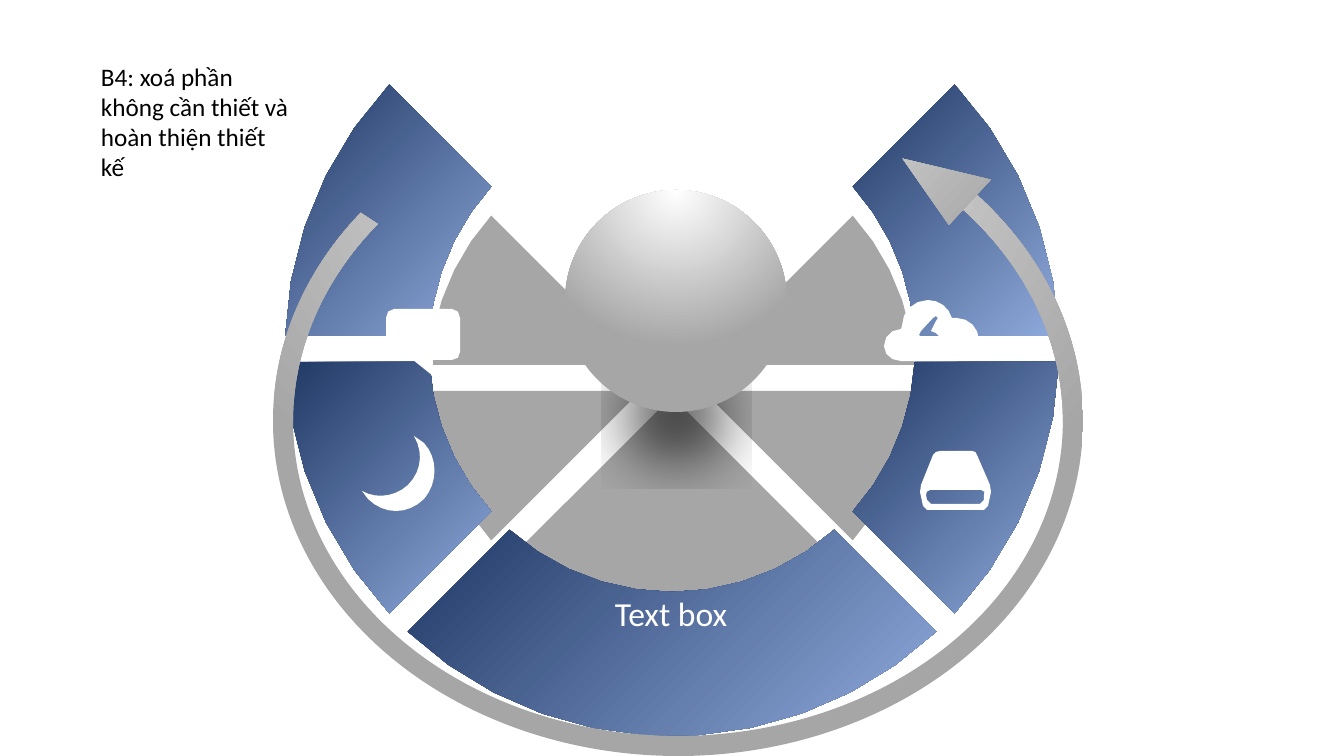
from math import asin, cos, radians, sin

from lxml.etree import SubElement
from pptx import Presentation
from pptx.dml.color import RGBColor
from pptx.enum.shapes import MSO_SHAPE as Preset
from pptx.enum.text import MSO_AUTO_SIZE as AutoSize
from pptx.oxml import parse_xml
from pptx.oxml.ns import nsdecls, qn
from pptx.util import Pt

EMU_PER_PX = 914400 / 100.8
FONT = "Calibri"
GREY, WHITE, BLACK = "A6A6A6", "FFFFFF", "000000"
NAVY, SKY = "203864", "8FAADC"

SECTORS = [(180, 225), (315, 360), (135, 180), (0, 45), (45, 135)]
CENTER_X, RING_Y, PIE_Y = 672, 349, 378
INNER_RADIUS, OUTER_RADIUS, HALF_GAP = 243, 387, 13

# Contours hold points (x, y) and cubic curves (x1, y1, x2, y2, x, y).
MOON = [[
    (408, 485), (395, 497, 376, 499, 362, 491), (368, 499),
    (384, 515, 408, 515, 424, 499), (438, 483, 438, 458, 424, 443),
    (414, 436), (424, 453, 421, 472, 408, 485)]]
BUBBLE = [[
    (452, 309), (394, 309), (389, 309, 386, 313, 386, 318), (386, 352),
    (386, 357, 389, 360, 394, 360), (413, 360), (433, 376), (433, 360),
    (452, 360), (457, 360, 460, 357, 460, 352), (460, 318),
    (460, 313, 457, 309, 452, 309)]]
CLOUD = [
    [(957, 318), (952, 318), (949, 307, 939, 300, 928, 300),
     (914, 300, 902, 311, 902, 326), (901, 329),
     (892, 329, 884, 336, 884, 346), (884, 355, 892, 361, 901, 361),
     (957, 361), (969, 361, 979, 353, 979, 340),
     (979, 328, 969, 318, 957, 318)],
    [(938, 338), (924, 353), (921, 353), (921, 350), (926, 340), (923, 338),
     (919, 335), (921, 331), (933, 318), (936, 316), (938, 318), (936, 321),
     (931, 331), (936, 333), (939, 336)]]
DRIVE = [
    [(990, 485), (977, 455), (977, 452, 974, 451, 972, 451), (940, 451),
     (937, 451, 935, 452, 933, 455), (921, 485), (920, 492), (923, 506),
     (923, 509, 926, 510, 927, 510), (984, 510),
     (986, 510, 988, 509, 988, 506), (991, 492)],
    [(984, 495), (984, 500), (984, 503, 981, 504, 980, 504), (931, 504),
     (930, 504, 927, 503, 927, 500), (926, 495),
     (926, 493, 927, 490, 930, 490), (981, 490),
     (984, 490, 986, 493, 984, 495)]]


def px(*lengths):
    """Turn pixel lengths into a tuple of EMU."""
    return tuple(round(length * EMU_PER_PX) for length in lengths)


def color(hex_code):
    """Turn a hex string into a colour."""
    return RGBColor.from_string(hex_code)


def clear_style(shape):
    """Take away the outline and the default shadow."""
    shape.line.fill.background()
    shape.shadow.inherit = False


def fill_solid(shape, hex_code):
    """Fill a shape with one colour."""
    shape.fill.solid()
    shape.fill.fore_color.rgb = color(hex_code)


def fill_linear(shape, start, end, angle):
    """Fill a shape with a two-colour gradient, angle counter-clockwise."""
    shape.fill.gradient()
    shape.fill.gradient_angle = angle
    for stop, hex_code in zip(shape.fill.gradient_stops, (start, end)):
        stop.color.rgb = color(hex_code)


def fill_glow(shape, stops):
    """Fill a shape with a circular gradient lit from above its top edge."""
    shape.fill.gradient()
    stop_xml = "".join(
        f'<a:gs pos="{percent * 1000}"><a:srgbClr val="{hex_code}"/></a:gs>'
        for percent, hex_code in stops)
    glow = parse_xml(
        f'<a:gradFill {nsdecls("a")} rotWithShape="1"><a:gsLst>{stop_xml}</a:gsLst>'
        '<a:path path="circle"><a:fillToRect l="50000" t="-80000" r="50000"'
        ' b="180000"/></a:path></a:gradFill>')
    properties = shape._element.spPr
    properties.replace(properties.find(qn("a:gradFill")), glow)


def add_drop_shadow(shape, blur, distance, scale, opacity):
    """Cast a scaled black shadow straight down from the bottom edge."""
    effects = shape._element.spPr.find(qn("a:effectLst"))
    shadow = SubElement(
        effects, qn("a:outerShdw"), blurRad=str(Pt(blur)), dist=str(Pt(distance)),
        dir="5400000", sx=str(scale * 1000), sy=str(scale * 1000),
        algn="b", rotWithShape="0")
    black = SubElement(shadow, qn("a:srgbClr"), val=BLACK)
    SubElement(black, qn("a:alpha"), val=str(opacity * 1000))


def flatten(contour):
    """Turn curves into straight runs, more of them for longer curves."""
    points = []
    for *controls, x, y in contour:
        if not controls:
            points.append((x, y))
            continue
        x0, y0 = points[-1]
        x1, y1, x2, y2 = controls
        steps = 1 + round(max(abs(x - x0), abs(y - y0)) / 8)
        for step in range(1, steps + 1):
            t = step / steps
            weights = ((1 - t) ** 3, 3 * t * (1 - t) ** 2, 3 * t * t * (1 - t), t ** 3)
            points.append(tuple(
                sum(w * value for w, value in zip(weights, values))
                for values in ((x0, x1, x2, x), (y0, y1, y2, y))))
    return points


def add_outline(shapes, contours):
    """Draw closed contours as one freeform and return it."""
    builder = None
    for contour in contours:
        start, *rest = [px(*point) for point in flatten(contour)]
        if builder is None:
            builder = shapes.build_freeform(*start, scale=1.0)
        else:
            builder.move_to(*start)
        builder.add_line_segments(rest, close=True)
    outline = builder.convert_to_shape()
    clear_style(outline)
    return outline


def sector(center_y, inner, outer, start, end):
    """Return a ring sector's contour, set back evenly from both rays."""
    half = radians(end - start) / 2
    middle = radians(start) + half
    apex = HALF_GAP / sin(half)

    def arc(radius):
        reach = half - asin(HALF_GAP / radius)
        steps = max(1, round(reach * 14))
        angles = [middle + reach * (2 * i / steps - 1) for i in range(steps + 1)]
        return [(CENTER_X + radius * cos(a), center_y + radius * sin(a)) for a in angles]

    tip = [(CENTER_X + apex * cos(middle), center_y + apex * sin(middle))]
    return arc(outer) + (arc(inner)[::-1] if inner > apex else tip)


def add_preset(slide, preset, box, adjustments=()):
    """Add a plain preset shape with the given adjustments."""
    shape = slide.shapes.add_shape(preset, *px(*box))
    clear_style(shape)
    for index, value in enumerate(adjustments):
        shape.adjustments[index] = value
    return shape


def add_label(slide, box, text, size, hex_code, wrap):
    """Add a text box with one run."""
    frame = slide.shapes.add_textbox(*px(*box)).text_frame
    frame.word_wrap = wrap
    frame.auto_size = AutoSize.SHAPE_TO_FIT_TEXT
    run = frame.paragraphs[0].add_run()
    run.text = text
    run.font.name, run.font.size = FONT, Pt(size)
    run.font.color.rgb = color(hex_code)


def main():
    """Build the slide and save it."""
    deck = Presentation()
    deck.slide_width, deck.slide_height = px(1344, 756)
    slide = deck.slides.add_slide(deck.slide_layouts[6])

    add_label(slide, (91, 56, 213, 132),
              "B4: xoá phần không cần thiết và hoàn thiện thiết kế", 18, BLACK, True)

    for start, end in SECTORS:
        contour = sector(PIE_Y, 0, INNER_RADIUS, start, end)
        fill_solid(add_outline(slide.shapes, [contour]), GREY)
    for start, end in SECTORS:
        contour = sector(RING_Y, INNER_RADIUS, OUTER_RADIUS, start, end)
        fill_linear(add_outline(slide.shapes, [contour]), NAVY, SKY, 315)

    ball = add_preset(slide, Preset.OVAL, (565, 190, 222, 222))
    fill_glow(ball, [(0, WHITE), (100, GREY)])
    add_drop_shadow(ball, blur=53, distance=33, scale=40, opacity=85)

    for icon in (MOON, BUBBLE, CLOUD, DRIVE):
        fill_solid(add_outline(slide.shapes, icon), WHITE)

    arrow_band = add_preset(slide, Preset.BLOCK_ARC, (273, 86, 810, 670),
                            (193.19, 127.96, 0.03))
    fill_glow(arrow_band, [(0, "DEDEDE"), (21, "DDDDDD"), (100, GREY)])
    arrow_tip = add_preset(slide, Preset.ISOSCELES_TRIANGLE, (910, 136, 62, 79), (0.28,))
    arrow_tip.rotation = 312.8
    fill_linear(arrow_tip, "A8A8A8", "C9C9C9", 90)

    add_label(slide, (605, 588, 134, 50), "Text box", 24, WHITE, False)
    deck.save("out.pptx")


main()
